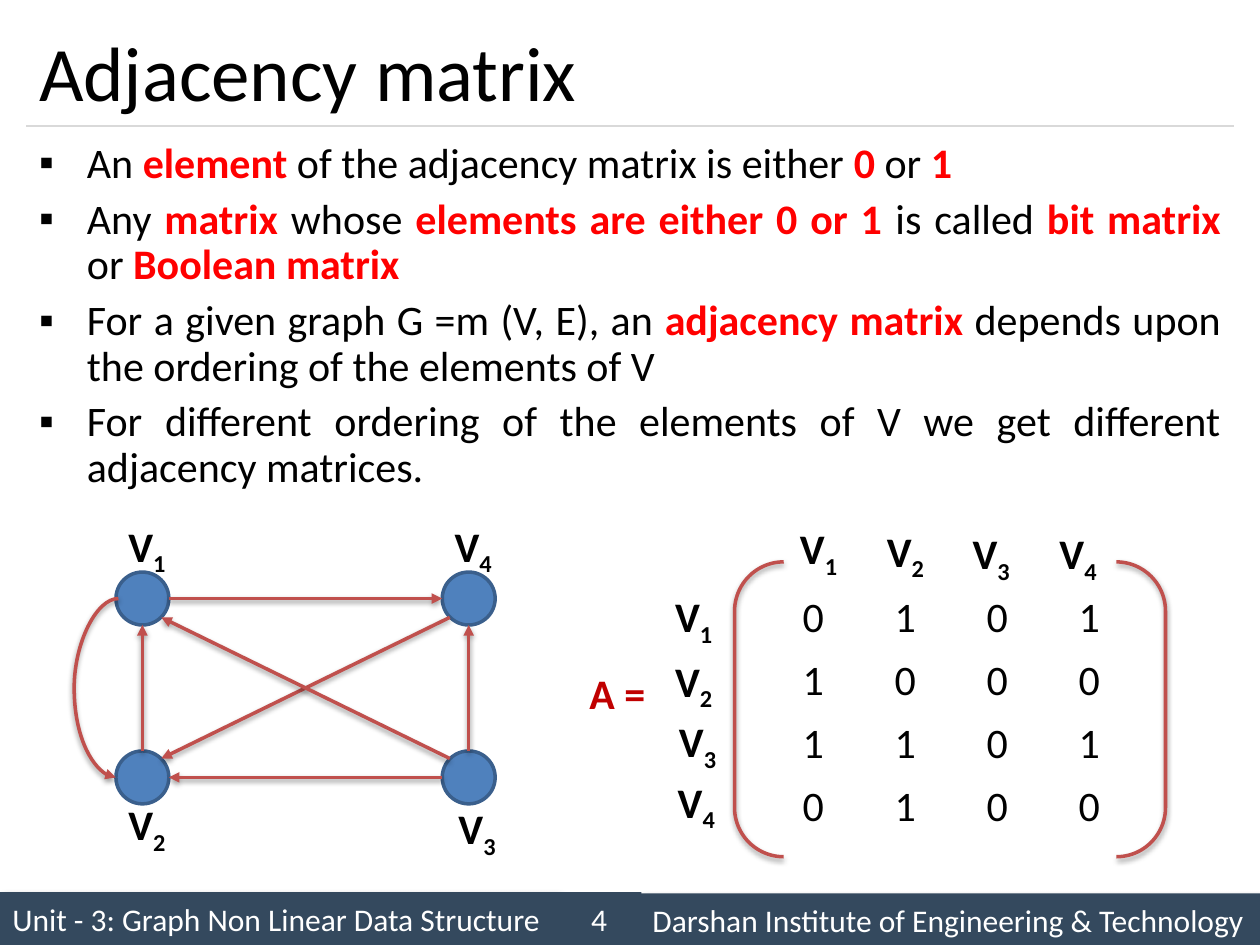
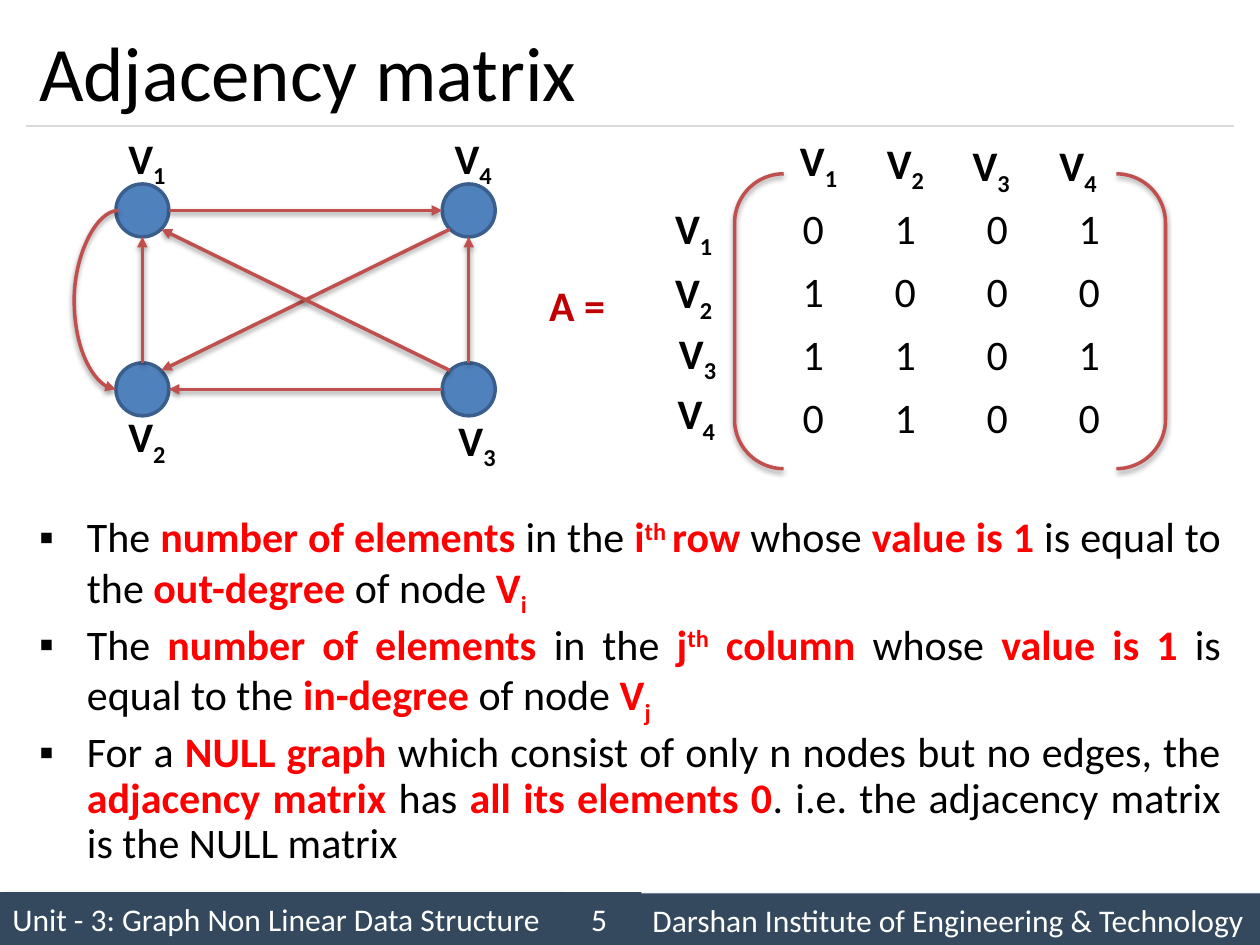
from dataclasses import dataclass
from lxml.etree import SubElement as Sub
from pptx import Presentation
from pptx.dml.color import RGBColor as RGB
from pptx.enum.shapes import MSO_CONNECTOR as LINK, MSO_SHAPE as FORM
from pptx.enum.text import MSO_ANCHOR as ANCHOR, MSO_AUTO_SIZE as FIT, PP_ALIGN as ALIGN
from pptx.oxml.ns import qn
from pptx.util import Inches, Pt


@dataclass(frozen=True)
class Theme:
    font: str = "Calibri"
    ink: str = "000000"
    white: str = "FFFFFF"
    key: str = "FF0000"
    name: str = "C00000"
    band: str = "34495E"
    rule: str = "D9D9D9"
    node: str = "4F81BD"
    rim: str = "3A5F8C"
    edge: str = "C0504D"
    head: int = 44
    text: int = 24
    foot: int = 18
    # Shadows: opacity %, blur pt, distance pt, angle
    drop: tuple = (40, 4, 3, 45)
    soft: tuple = (38, 3.1, 1.6, 90)


T = Theme()
UNIT = "Unit - 3: Graph Non Linear Data Structure"
SCHOOL = "Darshan Institute of Engineering & Technology"
MATRIX = ["0101", "1000", "1101", "0100"]
RADIUS, DIAG = 0.21, 0.15
EDGES = [(1, 4), (3, 4), (3, 2), (4, 2), (3, 1), (2, 1)]

# Markup: |key phrase|, ^superscript^, _subscript_
RULES = [
    "An |element |of the adjacency matrix is either |0| or |1|",
    "Any |matrix |whose |elements are either 0 or 1 |is called "
    "|bit matrix| or |Boolean matrix|",
    "For a given graph G =m (V, E), an |adjacency matrix| depends upon "
    "the ordering of the elements of V",
    "For different ordering of the elements of V we get different "
    "adjacency matrices.",
]
DEGREES = [
    "The |number of elements| in the |i^th ^row| whose |value is 1| "
    "is equal to the |out-degree| of node |V_i_|",
    "The |number of elements| in the |j^th^ column| whose |value is 1| "
    "is equal to the |in-degree| of node |V_j_|",
    "For a |NULL graph |which consist of only n nodes but no edges, the "
    "|adjacency matrix |has |all its elements 0|. i.e. the adjacency matrix "
    "is the NULL matrix",
]


# Text helpers
def style(para, size, color=T.ink, bold=False):
    font = para.font
    font.name, font.size, font.bold = T.font, Pt(size), bold
    font.color.rgb = RGB.from_string(color)


def add_run(para, text, hot, base):
    if not text:
        return
    run = para.add_run()
    run.text = text
    if hot:
        run.font.bold = True
        run.font.color.rgb = RGB.from_string(T.key)
    if base:
        run.font._element.set("baseline", str(base * 1000))


def write(para, text):
    for i, part in enumerate(text.split("|")):
        for j, bit in enumerate(part.split("^")):
            for k, word in enumerate(bit.split("_")):
                base = 30 if j % 2 else -25 if k % 2 else 0
                add_run(para, word, i % 2, base)


def box(*sides):
    return [Inches(side) for side in sides]


def place(shape, *sides):
    shape.left, shape.top, shape.width, shape.height = box(*sides)


def label(slide, text, x, y, width=0.52, color=T.ink):
    frame = slide.shapes.add_textbox(*box(x, y, width, 0.5)).text_frame
    frame.word_wrap, frame.auto_size = False, FIT.SHAPE_TO_FIT_TEXT
    para = frame.paragraphs[0]
    write(para, text)
    style(para, T.text, color, True)


# Shape helpers
def shade(shape, look=None):
    """Call after fill and line, so that the effect comes last."""
    effect = Sub(shape.element.spPr, qn("a:effectLst"))
    if look:
        alpha, blur, dist, angle = look
        drop = Sub(effect, qn("a:outerShdw"), blurRad=str(Pt(blur)),
                   dist=str(Pt(dist)), dir=str(angle * 60000), rotWithShape="0")
        color = Sub(drop, qn("a:srgbClr"), val=T.ink)
        Sub(color, qn("a:alpha"), val=str(alpha * 1000))


def shape(slide, form, sides, fill=None, line=None, look=None):
    item = slide.shapes.add_shape(form, *box(*sides))
    if fill:
        item.fill.solid()
        item.fill.fore_color.rgb = RGB.from_string(fill)
    else:
        item.fill.background()
    if line:
        item.line.color.rgb = RGB.from_string(line)
        item.line.width = Pt(2)
    else:
        item.line.fill.background()
    shade(item, look)
    return item


def draw(slide, start, end, color, width, kind=LINK.STRAIGHT):
    item = slide.shapes.add_connector(kind, *box(*start, *end))
    item.line.color.rgb = RGB.from_string(color)
    item.line.width = Pt(width)
    return item


def arrow(slide, start, end, kind=LINK.STRAIGHT):
    item = draw(slide, start, end, T.edge, 2, kind)
    Sub(item.line._get_or_add_ln(), qn("a:tailEnd"), type="triangle")
    shade(item, T.soft)
    return item


# Shared frame
def band(slide, text, x, y, width, align=ALIGN.LEFT, look=None):
    frame = shape(slide, FORM.RECTANGLE, (x, y, width, 0.42), T.band, look=look).text_frame
    frame.vertical_anchor, frame.word_wrap = ANCHOR.MIDDLE, True
    para = frame.paragraphs[0]
    para.text, para.alignment = text, align
    style(para, T.foot, T.white)


def start(deck, number):
    slide = deck.slides.add_slide(deck.slide_layouts[1])
    band(slide, UNIT, 0, 7.08, 4.42, look=T.drop)
    shade(draw(slide, (0.21, 1), (9.79, 1), T.rule, 0.75))
    band(slide, SCHOOL, 5.08, 7.09, 4.92, look=T.drop)
    band(slide, str(number), 4.42, 7.08, 0.67, ALIGN.CENTER)
    title = slide.shapes.title
    place(title, 0.21, 0.12, 9.58, 0.88)
    frame = title.text_frame
    frame.vertical_anchor, frame.auto_size = ANCHOR.MIDDLE, FIT.NONE
    para = frame.paragraphs[0]
    para.text, para.alignment = "Adjacency matrix", ALIGN.LEFT
    style(para, T.head)
    return slide


def points(slide, lines, top, height):
    body = slide.placeholders[1]
    place(body, 0.21, top, 9.58, height)
    frame = body.text_frame
    frame.auto_size = FIT.NONE
    for i, text in enumerate(lines):
        para = frame.add_paragraph() if i else frame.paragraphs[0]
        para.alignment, para.line_spacing = ALIGN.JUSTIFY, 0.9
        para.space_before = Pt(6 if i else 0)
        props = para._p.get_or_add_pPr()
        props.set("marL", str(Inches(0.38)))
        props.set("indent", str(Inches(-0.38)))
        Sub(props, qn("a:buChar"), char="▪")
        style(para, T.text)
        write(para, text)


# Directed graph
def rim(node, other):
    """Point on the node's outline that faces the other node."""
    gaps = [b - a for a, b in zip(node, other)]
    reach = DIAG if all(gaps) else RADIUS
    return [a + reach * ((gap > 0) - (gap < 0)) for a, gap in zip(node, gaps)]


def graph(slide, top):
    high, low = top + 0.67, top + 2.09
    nodes = {1: (1.13, high), 2: (1.13, low), 4: (3.72, high), 3: (3.72, low)}
    for x, y in nodes.values():
        shape(slide, FORM.OVAL, (x - RADIUS, y - RADIUS, 2 * RADIUS, 2 * RADIUS),
              T.node, T.rim)
    for tail, head in EDGES:
        a, b = nodes[tail], nodes[head]
        arrow(slide, rim(a, b), rim(b, a))
    # The bend lies 0.35 left of the start, in units of the 0.02 width
    curve = arrow(slide, (0.94, high), (0.92, low), LINK.CURVE)
    guides = curve.element.spPr.find(".//" + qn("a:avLst"))
    Sub(guides, qn("a:gd"), name="adj1", fmla="val 1750000")
    for n, x, y in [(1, 0.92, 0), (2, 0.92, 2.21), (3, 3.54, 2.24), (4, 3.51, 0)]:
        label(slide, f"V_{n}_", x, top + y)


# Bit matrix with row and column names
def matrix(slide, top, name):
    table = slide.shapes.add_table(4, 4, *box(6.09, top + 0.57, 2.92, 2)).table
    table.first_row = table.horz_banding = False
    for r, row in enumerate(MATRIX):
        for c, bit in enumerate(row):
            cell = table.cell(r, c)
            cell.fill.background()
            cell.vertical_anchor = ANCHOR.MIDDLE
            para = cell.text_frame.paragraphs[0]
            para.text, para.alignment = bit, ALIGN.CENTER
            style(para, T.text)
    shape(slide, FORM.DOUBLE_BRACKET, (5.83, top + 0.38, 3.42, 2.34),
          line=T.edge, look=T.soft)
    cols = [(6.25, 0.02), (6.94, 0.04), (7.62, 0.06), (8.31, 0.06)]
    rows = [(5.26, 0.56), (5.26, 1.07), (5.29, 1.55), (5.28, 2.03)]
    for spots in (cols, rows):
        for n, (x, y) in enumerate(spots, 1):
            label(slide, f"V_{n}_", x, top + y)
    label(slide, "A =", name, top + 1.17, 0.65, T.name)


def main():
    deck = Presentation()
    deck.slide_width, deck.slide_height = box(10, 7.5)
    # Number, list, list top, list height, figure top, left of "A ="
    pages = [(4, RULES, 1.08, 3, 4.08, 4.58),
             (5, DEGREES, 4.05, 2.87, 1, 4.26)]
    for number, lines, y, height, top, name in pages:
        slide = start(deck, number)
        points(slide, lines, y, height)
        graph(slide, top)
        matrix(slide, top, name)
    deck.save("out.pptx")


if __name__ == "__main__":
    main()
